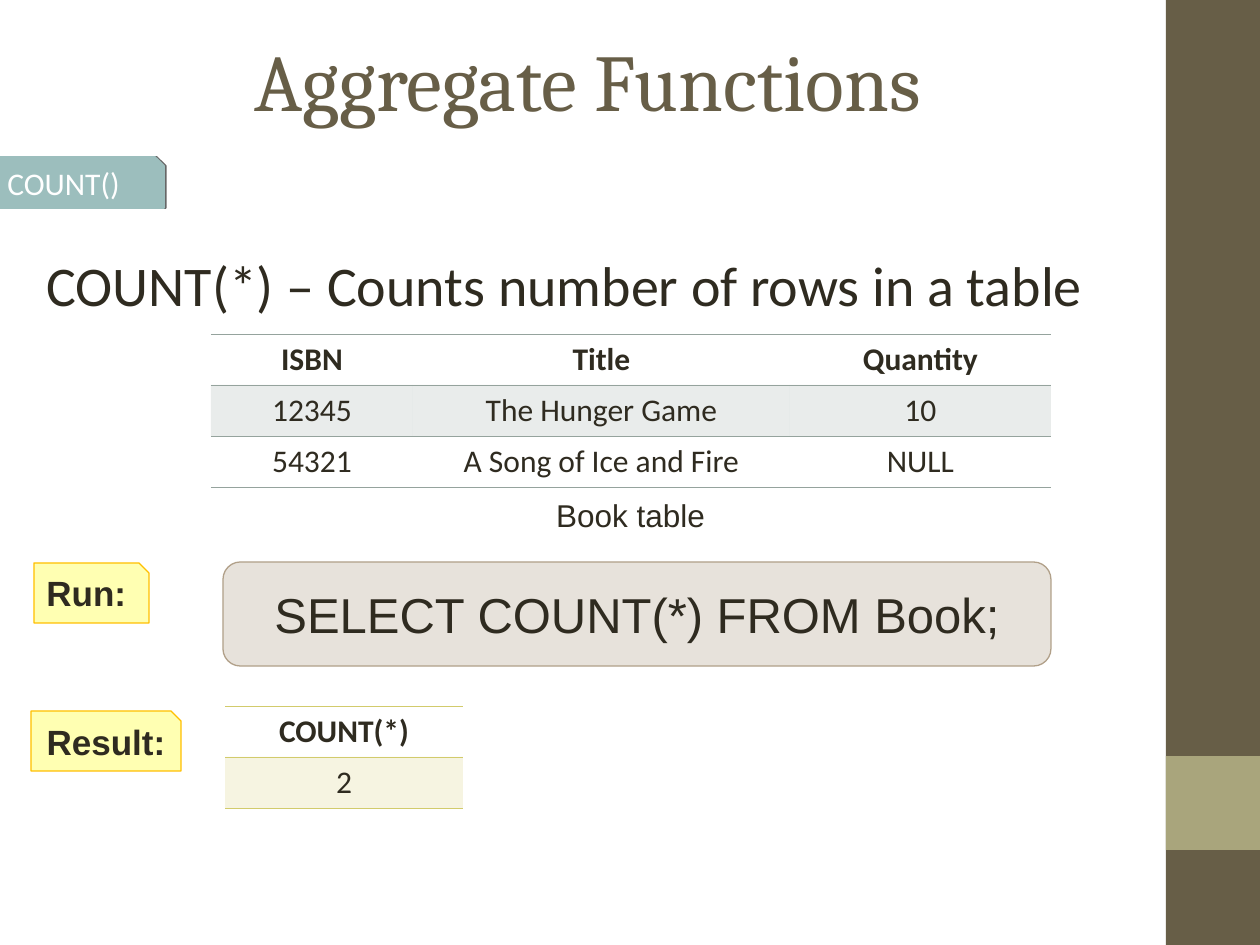
from lxml.etree import SubElement
from pptx import Presentation
from pptx.dml.color import RGBColor
from pptx.enum.shapes import MSO_SHAPE as SHAPE
from pptx.enum.text import MSO_ANCHOR as ANCHOR, PP_ALIGN as ALIGN
from pptx.oxml import parse_xml
from pptx.oxml.ns import nsdecls, qn
from pptx.util import Pt

PX = 914400 / 126
NO_STYLE = "{2D5ABB26-0587-4C30-8999-92F81FD0307C}"
COLORS = {
    "brown": "675E47", "olive": "A9A57C", "ink": "2F2B20", "white": "FFFFFF",
    "teal": "9CBEBD", "tan": "B1A089", "yellow": "FFFF00", "amber": "FFC000",
    "gray": "95A39D", "lime": "D2CB6C", "black": "000000",
}


def px(n):
    """Turn pixels into EMU."""
    return round(n * PX)


def rgb(name):
    """Return a named colour."""
    return RGBColor.from_string(COLORS[name])


def paint(fill, parent, color, alpha=100):
    """Set a solid fill, made see-through when alpha is below 100."""
    fill.solid()
    fill.fore_color.rgb = rgb(color)
    if alpha < 100:
        clr = parent.find(qn("a:solidFill")).find(qn("a:srgbClr"))
        SubElement(clr, qn("a:alpha"), val=str(alpha * 1000))


def write(tf, text, size=18, font="Calibri", color="ink", bold=False,
          align=ALIGN.LEFT, anchor=ANCHOR.MIDDLE):
    """Write one formatted paragraph into a text frame."""
    tf.word_wrap = True
    tf.vertical_anchor = anchor
    p = tf.paragraphs[0]
    p.alignment = align
    r = p.add_run()
    r.text = text
    r.font.size, r.font.name, r.font.bold = Pt(size), font, bold
    r.font.color.rgb = rgb(color)


def add_text(s, box, text, **fmt):
    """Add a text box."""
    write(s.shapes.add_textbox(*map(px, box)).text_frame, text, **fmt)


def style(sp, fill, alpha=100, line=None, weight=0.75):
    """Give a shape its fill and outline and no shadow."""
    sp.shadow.inherit = False
    paint(sp.fill, sp._element.spPr, fill, alpha)
    if line:
        sp.line.color.rgb = rgb(line)
        sp.line.width = Pt(weight)
    else:
        sp.line.fill.background()


def add_box(s, kind, box, fill, **look):
    """Add a styled preset shape."""
    sp = s.shapes.add_shape(kind, *map(px, box))
    style(sp, fill, **look)
    return sp


def add_tag(s, box, snip, fill, text, look, **fmt):
    """Add a label whose top right corner is cut off."""
    x, y, w, h = box
    fb = s.shapes.build_freeform(x, y, scale=PX)
    fb.add_line_segments([(x + w - snip, y), (x + w, y + snip),
                          (x + w, y + h), (x, y + h)], close=True)
    sp = fb.convert_to_shape()
    style(sp, fill, **look)
    write(sp.text_frame, text, **fmt)
    return sp


def add_shadow(sp, color, alpha, distance):
    """Cast a sharp shadow to the right of a shape."""
    effects = sp._element.spPr.find(qn("a:effectLst"))
    shadow = SubElement(effects, qn("a:outerShdw"), blurRad="0",
                        dist=str(Pt(distance)), dir="0", rotWithShape="0")
    clr = SubElement(shadow, qn("a:srgbClr"), val=COLORS[color])
    SubElement(clr, qn("a:alpha"), val=str(alpha * 1000))


def add_border(tcPr, side, color):
    """Draw a thin rule on one side of a table cell."""
    tcPr.insert(0, parse_xml(
        f'<a:{side} {nsdecls("a")} w="{Pt(0.45)}"><a:solidFill>'
        f'<a:srgbClr val="{COLORS[color]}"/></a:solidFill></a:{side}>'))


def add_table(s, left, top, widths, row_height, rows, color):
    """Add a table with a bold header, banded rows and horizontal rules."""
    box = left, top, sum(widths), row_height * len(rows)
    table = s.shapes.add_table(len(rows), len(widths), *map(px, box)).table
    table.first_row = table.horz_banding = False
    table._tbl.tblPr.find(qn("a:tableStyleId")).text = NO_STYLE
    for column, width in zip(table.columns, widths):
        column.width = px(width)
    for i, row in enumerate(rows):
        table.rows[i].height = px(row_height)
        for j, text in enumerate(row):
            cell = table.cell(i, j)
            write(cell.text_frame, text, bold=i == 0, align=ALIGN.CENTER,
                  anchor=ANCHOR.TOP)
            tcPr = cell._tc.get_or_add_tcPr()
            if i % 2:
                paint(cell.fill, tcPr, color, 20)
            else:
                cell.fill.background()
            if i in (0, len(rows) - 1):
                add_border(tcPr, "lnB", color)
            if i < 2:
                add_border(tcPr, "lnT", color)


def main():
    """Build the slide and save it."""
    prs = Presentation()
    prs.slide_width, prs.slide_height = px(1260), px(945)
    s = prs.slides.add_slide(prs.slide_layouts[6])

    add_box(s, SHAPE.RECTANGLE, (1166, 0, 94, 945), "brown")
    add_box(s, SHAPE.RECTANGLE, (1166, 756, 94, 94), "olive")
    add_text(s, (63, 0, 1049, 158), "Aggregate Functions", size=46,
             font="Cambria", color="brown", align=ALIGN.CENTER)
    topic = add_tag(s, (-5, 157, 169, 51), 9, "teal", "COUNT()",
                    {"line": "teal", "weight": 1}, color="white")
    add_shadow(topic, "black", 60, 1)
    add_text(s, (34, 244, 1193, 149),
             "COUNT(*) – Counts number of rows in a table", size=32,
             anchor=ANCHOR.TOP)

    query = add_box(s, SHAPE.ROUNDED_RECTANGLE, (223, 562, 828, 104), "tan",
                    alpha=30, line="tan")
    write(query.text_frame, "SELECT COUNT(*) FROM Book;", size=28,
          font="Arial", align=ALIGN.CENTER)
    add_table(s, 225, 706, [238], 51, [["COUNT(*)"], ["2"]], "lime")
    add_text(s, (491, 490, 279, 51), "Book table", font="Arial",
             align=ALIGN.CENTER, anchor=ANCHOR.TOP)

    for box, text, align in (((31, 711, 150, 60), "Result:", ALIGN.CENTER),
                             ((34, 563, 115, 60), "Run:", ALIGN.LEFT)):
        add_tag(s, box, 10, "yellow", text, {"alpha": 30, "line": "amber"},
                size=20, font="Arial", bold=True, align=align)

    add_table(s, 211, 334, [202, 377, 261], 51, [
        ["ISBN", "Title", "Quantity"],
        ["12345", "The Hunger Game", "10"],
        ["54321", "A Song of Ice and Fire", "NULL"],
    ], "gray")
    prs.save("out.pptx")


if __name__ == "__main__":
    main()
